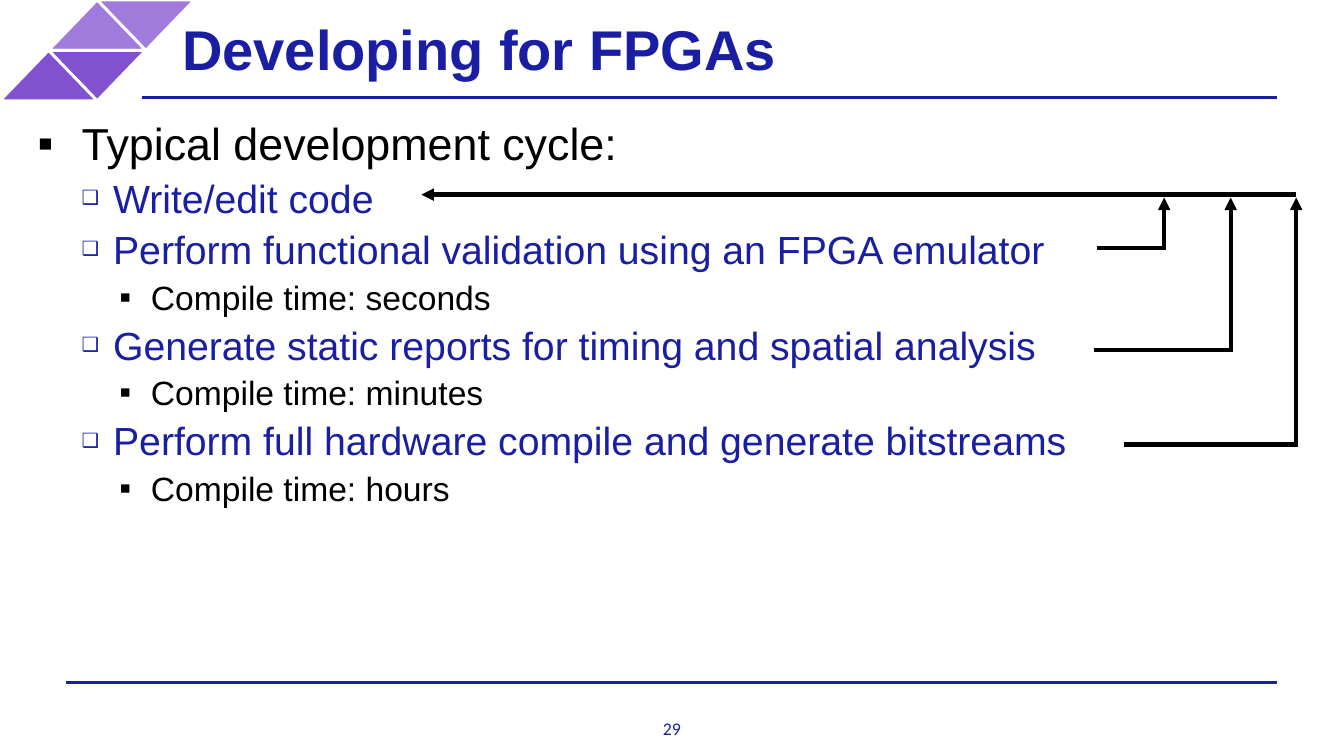
from dataclasses import dataclass

from lxml.etree import SubElement
from pptx import Presentation
from pptx.dml.color import RGBColor as Color
from pptx.enum.shapes import MSO_CONNECTOR as Connector, MSO_SHAPE as Preset
from pptx.enum.text import MSO_ANCHOR as Anchor, PP_ALIGN as Align
from pptx.oxml.ns import qn
from pptx.slide import Slide
from pptx.text.text import TextFrame
from pptx.util import Pt


@dataclass(frozen=True)
class Theme:
    navy: Color = Color(0x19, 0x1E, 0xA2)
    black: Color = Color(0, 0, 0)
    white: Color = Color(0xFF, 0xFF, 0xFF)
    light_purple: Color = Color(0xA0, 0x7B, 0xDB)
    purple: Color = Color(0x81, 0x51, 0xCF)
    font: str = "Arial"
    number_font: str = "Calibri"
    title_size: float = 40
    number_size: float = 12.7
    rule_width: float = 2
    arrow_width: float = 3


THEME = Theme()


@dataclass(frozen=True)
class Level:
    size: float
    color: Color
    margin: float
    hanging: float
    space_before: float
    bullet: str
    bullet_percent: int = 100


@dataclass(frozen=True)
class Item:
    level: int
    text: str


@dataclass(frozen=True)
class Triangle:
    column: int
    row: int
    rotation: int
    color: Color


@dataclass(frozen=True)
class Return:
    left: float
    right: float
    top: float


LEVELS = (
    Level(32, THEME.black, 36, 31.5, 6, "▪"),
    Level(28, THEME.navy, 58.5, 22.5, 3, "❑", 50),
    Level(24, THEME.black, 85.5, 22.5, 3, "▪"),
)
ITEMS = (
    Item(0, "Typical development cycle:"),
    Item(1, "Write/edit code"),
    Item(1, "Perform functional validation using an FPGA emulator"),
    Item(2, "Compile time: seconds"),
    Item(1, "Generate static reports for timing and spatial analysis"),
    Item(2, "Compile time: minutes"),
    Item(1, "Perform full hardware compile and generate bitstreams"),
    Item(2, "Compile time: hours"),
)
TRIANGLES = (
    Triangle(2, 0, 180, THEME.light_purple),
    Triangle(1, 0, 0, THEME.light_purple),
    Triangle(1, 1, 180, THEME.purple),
    Triangle(0, 1, 0, THEME.purple),
)
RETURNS = (
    Return(783.4, 831.6, 177.1),
    Return(781.2, 879.1, 249.8),
    Return(802.8, 925.9, 317.5),
)
TRIANGLE_WIDTH, TRIANGLE_HEIGHT = 69.4, 36
EDIT_LEFT, EDIT_TOP, ARROW_TOP = 301, 139, 141.1


def add_line(page: Slide, start: tuple[float, float], end: tuple[float, float],
             color: Color, width: float, arrow: bool = False) -> None:
    line = page.shapes.add_connector(
        Connector.STRAIGHT, Pt(start[0]), Pt(start[1]), Pt(end[0]), Pt(end[1]))
    line.line.color.rgb = color
    line.line.width = Pt(width)
    if arrow:
        SubElement(line.line._get_or_add_ln(), qn("a:tailEnd"), type="triangle")
    SubElement(line._element.spPr, qn("a:effectLst"))


def add_triangle(page: Slide, triangle: Triangle) -> None:
    shape = page.shapes.add_shape(
        Preset.ISOSCELES_TRIANGLE,
        Pt(triangle.column * TRIANGLE_WIDTH / 2), Pt(triangle.row * TRIANGLE_HEIGHT),
        Pt(TRIANGLE_WIDTH), Pt(TRIANGLE_HEIGHT))
    shape.shadow.inherit = False
    shape.rotation = triangle.rotation
    shape.fill.solid()
    shape.fill.fore_color.rgb = triangle.color
    shape.line.color.rgb = THEME.white
    shape.line.width = Pt(THEME.rule_width)


def add_text_box(page: Slide, left: float, top: float, width: float, height: float,
                 inset: float = 0) -> TextFrame:
    box = page.shapes.add_textbox(Pt(left), Pt(top), Pt(width), Pt(height))
    frame = box.text_frame
    frame.word_wrap = True
    frame.margin_left = frame.margin_right = Pt(inset)
    frame.margin_top = frame.margin_bottom = Pt(inset)
    return frame


def add_title(page: Slide, text: str) -> None:
    frame = add_text_box(page, 120.2, 0, 741.6, 68.4, 10)
    frame.vertical_anchor = Anchor.MIDDLE
    para = frame.paragraphs[0]
    para.text = text
    para.font.name, para.font.size = THEME.font, Pt(THEME.title_size)
    para.font.bold = True
    para.font.color.rgb = THEME.navy


def add_page_number(page: Slide, text: str) -> None:
    frame = add_text_box(page, 460, 512.6, 40, 15.1)
    para = frame.paragraphs[0]
    para.text = text
    para.alignment = Align.CENTER
    para.font.name, para.font.size = THEME.number_font, Pt(THEME.number_size)
    para.font.color.rgb = THEME.navy


def add_outline(page: Slide, items: tuple[Item, ...]) -> None:
    frame = add_text_box(page, 22.3, 82.8, 807.8, 399.6)
    for index, item in enumerate(items):
        level = LEVELS[item.level]
        para = frame.add_paragraph() if index else frame.paragraphs[0]
        para.text = item.text
        para.level = item.level
        para.space_before = Pt(level.space_before)
        properties = para._p.get_or_add_pPr()
        properties.set("marL", str(Pt(level.margin)))
        properties.set("indent", str(-Pt(level.hanging)))
        SubElement(properties, qn("a:buSzPct"), val=str(level.bullet_percent * 1000))
        SubElement(properties, qn("a:buFont"), typeface=THEME.font)
        SubElement(properties, qn("a:buChar"), char=level.bullet)
        para.font.name, para.font.size = THEME.font, Pt(level.size)
        para.font.color.rgb = level.color


def add_returns(page: Slide) -> None:
    width = THEME.arrow_width
    for step in RETURNS:
        corner = (step.right, step.top + width / 2)
        add_line(page, corner, (step.right, ARROW_TOP), THEME.black, width, arrow=True)
        add_line(page, (step.left, step.top), (step.right + width / 2, step.top),
                 THEME.black, width)
    add_line(page, (RETURNS[-1].right, EDIT_TOP), (EDIT_LEFT, EDIT_TOP),
             THEME.black, width, arrow=True)


def main() -> None:
    deck = Presentation()
    deck.slide_width, deck.slide_height = Pt(960), Pt(540)
    page = deck.slides.add_slide(deck.slide_layouts[6])
    for triangle in TRIANGLES:
        add_triangle(page, triangle)
    for left, top in ((47.5, 487.4), (101.5, 69.8)):
        add_line(page, (left, top), (912.2, top), THEME.navy, THEME.rule_width)
    add_page_number(page, "29")
    add_outline(page, ITEMS)
    add_returns(page)
    add_title(page, "Developing for FPGAs")
    deck.save("out.pptx")


if __name__ == "__main__":
    main()
